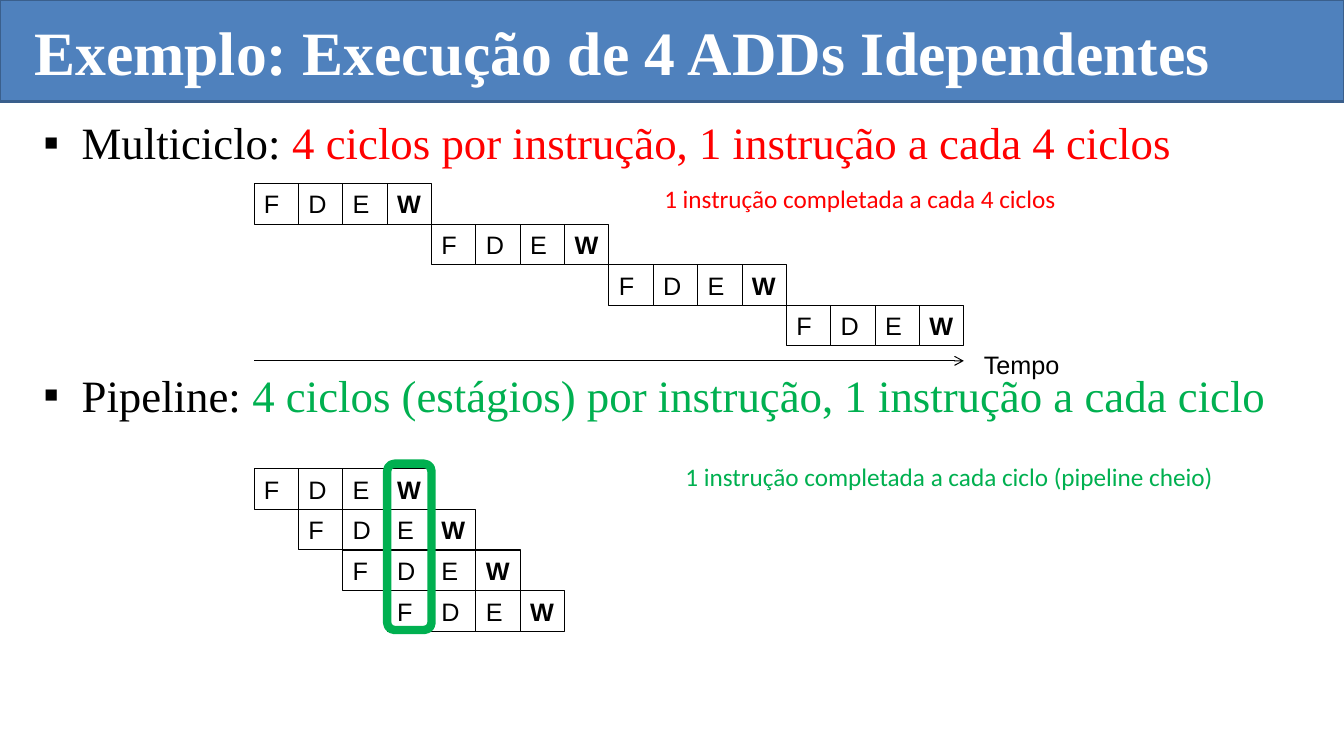
from dataclasses import dataclass

from lxml import etree
from pptx import Presentation
from pptx.dml.color import RGBColor
from pptx.enum.shapes import MSO_CONNECTOR, MSO_SHAPE
from pptx.enum.text import MSO_ANCHOR, MSO_AUTO_SIZE, PP_ALIGN
from pptx.oxml.ns import qn
from pptx.util import Inches, Pt

RECT, ROUND_RECT = MSO_SHAPE.RECTANGLE, MSO_SHAPE.ROUNDED_RECTANGLE
STRAIGHT = MSO_CONNECTOR.STRAIGHT
LEFT, TOP, MIDDLE = PP_ALIGN.LEFT, MSO_ANCHOR.TOP, MSO_ANCHOR.MIDDLE
NO_FIT = MSO_AUTO_SIZE.NONE

STAGES = "FDEW"
INSTRUCTIONS = 4
CELL_W = 0.44
CELL_H = 1.21 / 3
GRID_LEFT = 2.52


@dataclass(frozen=True)
class Theme:
    black: str = "000000"
    white: str = "FFFFFF"
    red: str = "FF0000"
    green: str = "00B050"
    bar: str = "4F81BD"
    bar_edge: str = "3A5F8C"
    serif: str = "Times New Roman"
    sans: str = "Arial"
    note: str = "Calibri"
    title_size: int = 44
    body_size: int = 32
    label_size: int = 18


class SlideBuilder:
    def __init__(self, slide, theme):
        self.s = slide
        self.theme = theme

    def style(self, r, font, size, color, bold=False):
        r.font.name = font
        r.font.size = Pt(size)
        r.font.bold = bold
        r.font.color.rgb = RGBColor.from_string(color)

    def place(self, sp, box):
        sp.left, sp.top, sp.width, sp.height = (Inches(v) for v in box)

    def title(self, text, box):
        t = self.theme
        sp = self.s.shapes.title
        self.place(sp, box)
        tf = sp.text_frame
        tf.text = text
        tf.auto_size = NO_FIT
        tf.vertical_anchor = MIDDLE
        p = tf.paragraphs[0]
        p.alignment = LEFT
        self.style(p.runs[0], t.serif, t.title_size, t.white, True)
        self.s.shapes._spTree.append(sp._element)

    def bullets(self, items, box, gap):
        t = self.theme
        sp = self.s.placeholders[1]
        self.place(sp, box)
        tf = sp.text_frame
        tf.auto_size = NO_FIT
        tf.vertical_anchor = TOP
        for i, (head, detail, color) in enumerate(items):
            p = tf.add_paragraph() if i else tf.paragraphs[0]
            if i:
                p.space_before = Pt(gap)
            for text, run_color in ((head, t.black), (detail, color)):
                r = p.add_run()
                r.text = text
                self.style(r, t.serif, t.body_size, run_color)
            pPr = p._p.get_or_add_pPr()
            pPr.set("marL", str(Inches(0.38)))
            pPr.set("indent", str(-Inches(0.38)))
            etree.SubElement(pPr, qn("a:buFont"), typeface=t.sans)
            etree.SubElement(pPr, qn("a:buChar"), char="▪")

    def shape(self, kind, box, fill, line, width, parent=None):
        sp = (parent or self.s).shapes.add_shape(kind, *(Inches(v) for v in box))
        sp.shadow.inherit = False
        if fill:
            sp.fill.solid()
            sp.fill.fore_color.rgb = RGBColor.from_string(fill)
        else:
            sp.fill.background()
        sp.line.color.rgb = RGBColor.from_string(line)
        sp.line.width = Pt(width)
        return sp

    def label(self, text, box, font, color):
        sp = self.s.shapes.add_textbox(*(Inches(v) for v in box))
        tf = sp.text_frame
        tf.text = text
        tf.word_wrap = False
        self.style(tf.paragraphs[0].runs[0], font, self.theme.label_size, color)

    def instruction(self, left, top):
        t = self.theme
        group = self.s.shapes.add_group_shape()
        for i, stage in enumerate(STAGES):
            box = (left + i * CELL_W, top, CELL_W, CELL_H)
            sp = self.shape(RECT, box, t.white, t.black, 0.75, group)
            tf = sp.text_frame
            tf.text = stage
            tf.margin_right = 0
            tf.vertical_anchor = MIDDLE
            p = tf.paragraphs[0]
            p.alignment = LEFT
            self.style(p.runs[0], t.sans, t.label_size, t.black, stage == "W")

    def schedule(self, top, step):
        for i in range(INSTRUCTIONS):
            self.instruction(GRID_LEFT + i * step * CELL_W, top + i * CELL_H)

    def arrow(self, x1, x2, y):
        c = self.s.shapes.add_connector(
            STRAIGHT, Inches(x1), Inches(y), Inches(x2), Inches(y))
        c.line.color.rgb = RGBColor.from_string(self.theme.black)
        c.line.width = Pt(0.75)
        etree.SubElement(c.line._get_or_add_ln(), qn("a:tailEnd"), type="arrow")
        etree.SubElement(c._element.spPr, qn("a:effectLst"))


def main():
    prs = Presentation()
    prs.slide_width, prs.slide_height = Inches(13.33), Inches(7.5)
    t = Theme()
    b = SlideBuilder(prs.slides.add_slide(prs.slide_layouts[1]), t)

    b.shape(RECT, (0, 0, 13.33, 1.01), t.bar, t.bar_edge, 2)
    b.bullets([
        ("Multiciclo: ", "4 ciclos por instrução, 1 instrução a cada 4 ciclos", t.red),
        ("Pipeline: ", "4 ciclos (estágios) por instrução, 1 instrução a cada ciclo", t.green),
    ], (0.33, 1.09, 12.42, 5.68), 142)

    b.arrow(GRID_LEFT, 9.56, 3.58)
    b.label("Tempo", (9.66, 3.42, 0.96, 0.4), t.sans, t.black)
    b.schedule(4.65, 1)
    b.schedule(1.82, len(STAGES))
    b.label("1 instrução completada a cada ciclo (pipeline cheio)",
            (6.7, 4.53, 5.5, 0.4), t.note, t.green)
    b.label("1 instrução completada a cada 4 ciclos",
            (6.49, 1.77, 4.13, 0.4), t.note, t.red)
    b.shape(ROUND_RECT, (GRID_LEFT + 3 * CELL_W, 4.6, CELL_W, 1.65), None, t.green, 6)
    b.title("Exemplo: Execução de 4 ADDs Idependentes", (0.24, 0.08, 12.84, 0.84))
    prs.save("out.pptx")


if __name__ == "__main__":
    main()
